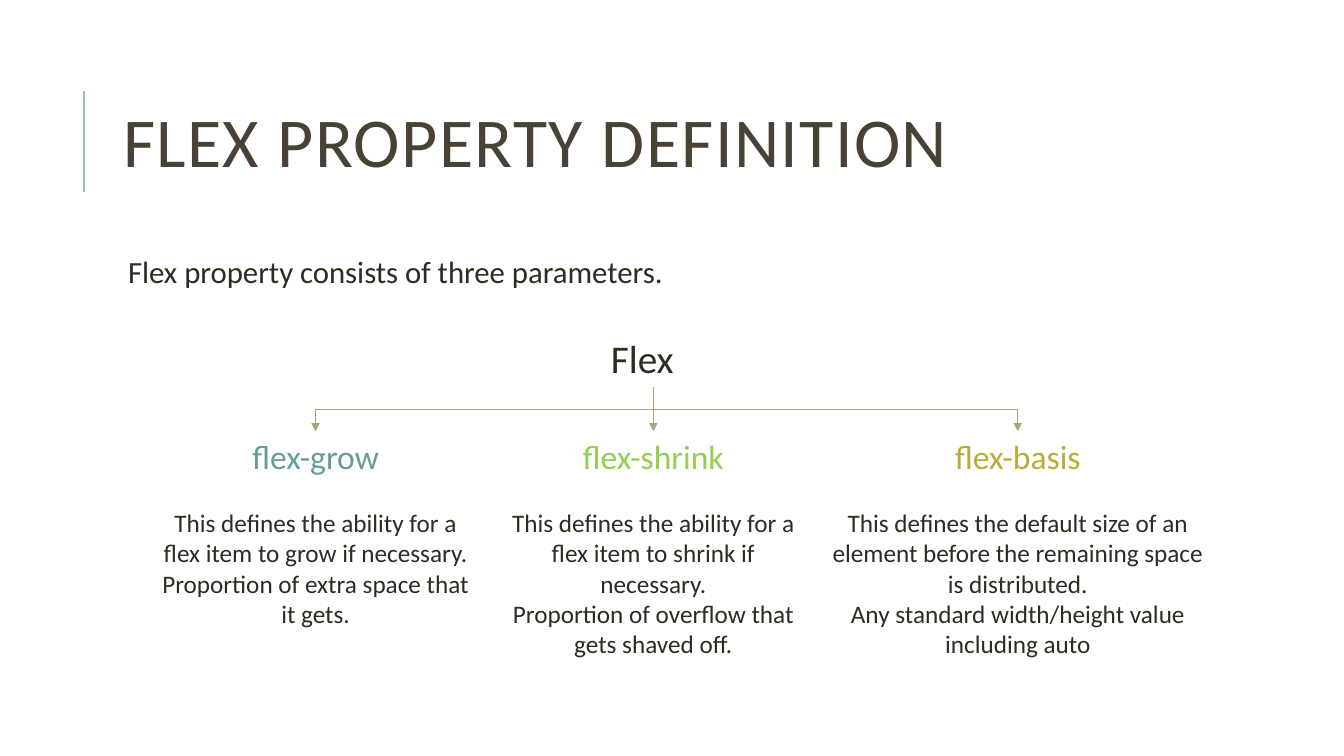
from lxml.etree import SubElement
from pptx import Presentation
from pptx.dml.color import RGBColor
from pptx.enum.shapes import MSO_CONNECTOR as Link
from pptx.enum.text import MSO_ANCHOR as Anchor, MSO_AUTO_SIZE as Fit, PP_ALIGN as Align
from pptx.oxml.ns import qn
from pptx.util import Inches, Pt

INK = "2E2B21"
BRANCH = "A9A57C"
STEM_X, STEM_TOP, PARAMETER_TOP = 6.48, 3.84, 4.28

PARAMETERS = [
    ("flex-grow", "689C9A", 1.47, 3.32, 2.63,
     "This defines the ability for a flex item to grow if necessary.",
     "Proportion of extra space that it gets."),
    ("flex-shrink", "92D050", 4.91, 3.14, 2.32,
     "This defines the ability for a flex item to shrink if necessary.",
     "Proportion of overflow that gets shaved off."),
    ("flex-basis", "B7AE38", 8.14, 3.91, 2.63,
     "This defines the default size of an element before the remaining space is distributed.",
     "Any standard width/height value including auto"),
]


def color(hex_string):
    return RGBColor.from_string(hex_string)


def style(paragraph, size, hex_string, align=Align.LEFT):
    paragraph.alignment = align
    for run in paragraph.runs:
        run.font.name = "Calibri"
        run.font.size = Pt(size)
        run.font.color.rgb = color(hex_string)


def add_title(slide, text):
    title = slide.shapes.title
    title.left, title.top = Inches(1.12), Inches(0.64)
    title.width, title.height = Inches(10.63), Inches(1.64)
    frame = title.text_frame
    frame.text = text
    frame.vertical_anchor = Anchor.MIDDLE
    frame.auto_size = Fit.NONE
    heading = frame.paragraphs[0]
    heading.line_spacing = 0.8
    style(heading, 50, "474233")
    heading.runs[0].font._element.set("spc", "100")


def add_text(slide, left, top, width, height, text, size):
    box = slide.shapes.add_textbox(Inches(left), Inches(top), Inches(width), Inches(height))
    frame = box.text_frame
    frame.word_wrap = True
    frame.text = text
    style(frame.paragraphs[0], size, INK)
    return box


def add_intro(slide, text):
    frame = add_text(slide, 1.12, 2.5, 10.63, 0.65, text, 22).text_frame
    frame.margin_left = Inches(0.15)
    frame.margin_top = frame.margin_right = frame.margin_bottom = Inches(0.05)
    frame.paragraphs[0].line_spacing = 0.9


def add_parameter(slide, name, accent, left, width, height, meaning, value):
    box = add_text(slide, left, PARAMETER_TOP, width, height,
                   "\n".join((name, meaning, value)), 24)
    box.text_frame.auto_size = Fit.SHAPE_TO_FIT_TEXT
    label, definition, detail = box.text_frame.paragraphs
    style(label, 24, accent, Align.CENTER)
    for paragraph in (definition, detail):
        style(paragraph, 18, INK, Align.CENTER)
    definition.space_before = Pt(22)
    return box


def add_line(slide, kind, start, end, hex_string, weight, arrow=False):
    line = slide.shapes.add_connector(kind, *map(Inches, start + end))
    line.line.color.rgb = color(hex_string)
    line.line.width = Pt(weight)
    if arrow:
        SubElement(line.line._get_or_add_ln(), qn("a:tailEnd"), type="triangle")
    SubElement(line._element.spPr, qn("a:effectLst"))
    return line


def add_branch(slide, target_x):
    drop = PARAMETER_TOP - STEM_TOP
    center_x = (STEM_X + target_x) / 2
    center_y = (STEM_TOP + PARAMETER_TOP) / 2
    half_span = abs(target_x - STEM_X) / 2
    side = 1 if target_x > STEM_X else -1
    start = (center_x + side * drop / 2, center_y - half_span)
    end = (center_x - side * drop / 2, center_y + half_span)
    branch = add_line(slide, Link.ELBOW, start, end, BRANCH, 0.75, arrow=True)
    quarter_turns = 3 if side > 0 else 1
    branch._element.spPr.find(qn("a:xfrm")).set("rot", str(quarter_turns * 90 * 60000))


def main():
    deck = Presentation()
    deck.slide_width, deck.slide_height = Inches(13.33), Inches(7.5)
    slide = deck.slides.add_slide(deck.slide_layouts[5])

    add_line(slide, Link.STRAIGHT, (0.83, 1.9), (0.83, 0.9), "9CBEBD", 1.5)
    add_title(slide, "FLEX PROPERTY DEFINITION")
    add_intro(slide, "Flex property consists of three parameters.")

    flex = add_text(slide, 5.96, 3.27, 1.04, 0.57, "Flex", 28)
    grow, shrink, basis = [add_parameter(slide, *parameter) for parameter in PARAMETERS]

    stem = add_line(slide, Link.STRAIGHT, (STEM_X, STEM_TOP), (STEM_X, PARAMETER_TOP),
                    BRANCH, 0.75, arrow=True)
    stem.begin_connect(flex, 2)
    stem.end_connect(shrink, 0)
    for parameter in (grow, basis):
        add_branch(slide, (parameter.left + parameter.width / 2) / Inches(1))

    deck.save("out.pptx")


if __name__ == "__main__":
    main()
